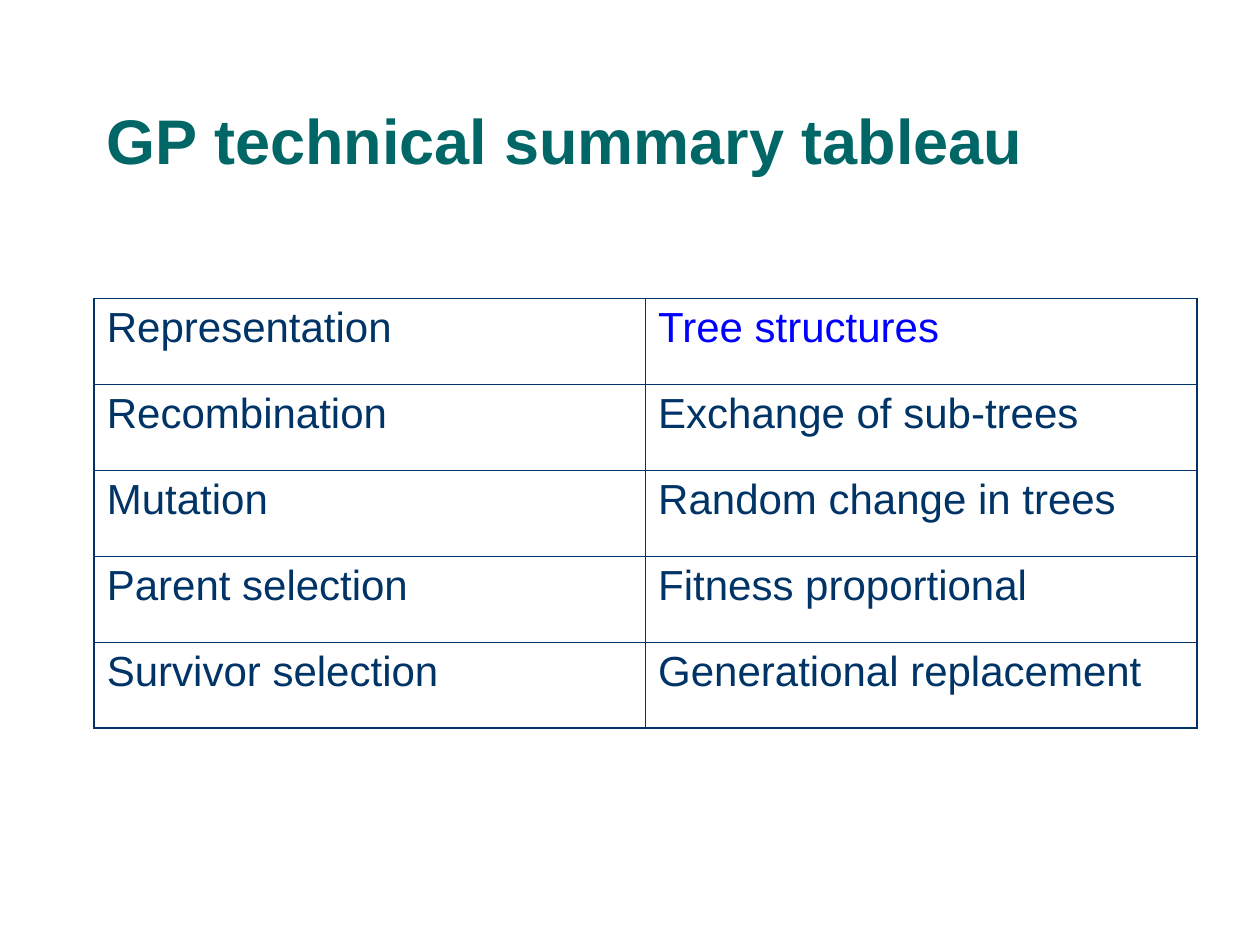
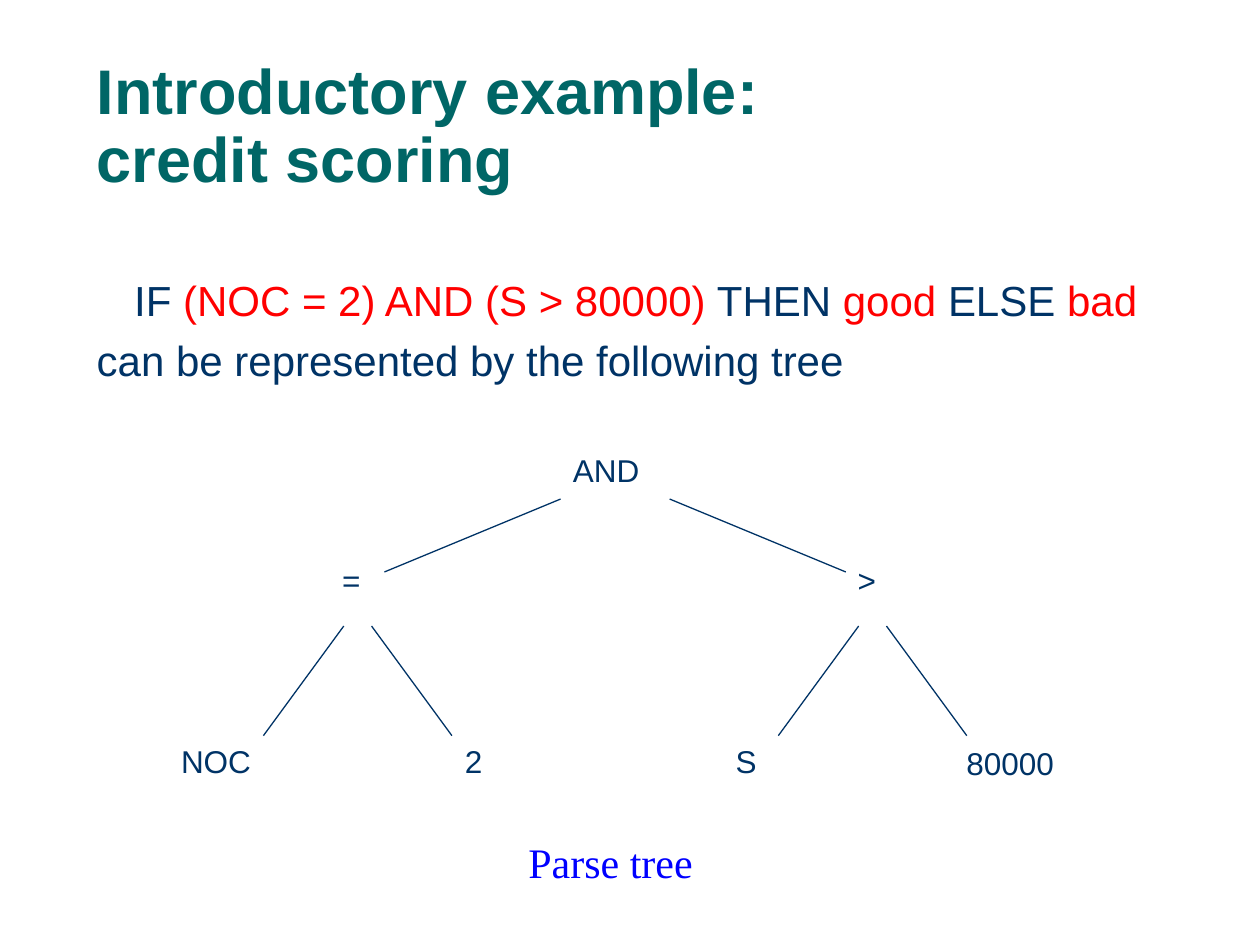
from pptx import Presentation
from pptx.dml.color import RGBColor
from pptx.enum.shapes import MSO_CONNECTOR
from pptx.enum.text import MSO_ANCHOR, MSO_AUTO_SIZE, PP_ALIGN
from pptx.oxml.ns import qn
from pptx.util import Cm, Pt
from lxml.etree import SubElement

TEAL = RGBColor(0x00, 0x66, 0x66)
NAVY = RGBColor(0x00, 0x33, 0x66)
BLUE = RGBColor(0x00, 0x00, 0xFF)
RED = RGBColor(0xFF, 0x00, 0x00)
SANS = "Arial"
SERIF = "Times New Roman"
CONTENT_WIDTH = 22.23
OUTER_LINE, INNER_LINE = 1.08, 0.45


class Deck:
    def __init__(self):
        self.prs = Presentation()
        self.prs.slide_width = Cm(25.4)
        self.prs.slide_height = Cm(19.05)
        self.slide = None

    def style(self, paragraph, size, color=NAVY, face=SANS, bold=False):
        font = paragraph.font
        font.name = face
        font.size = Pt(size)
        font.bold = bold
        if color is not None:
            font.color.rgb = color

    def add_slide(self, heading, left, top):
        self.slide = self.prs.slides.add_slide(self.prs.slide_layouts[5])
        title = self.slide.shapes.title
        title.left, title.top = Cm(left), Cm(top)
        title.width, title.height = Cm(CONTENT_WIDTH), Cm(3.18)
        frame = title.text_frame
        frame.text = heading
        frame.auto_size = MSO_AUTO_SIZE.NONE
        frame.vertical_anchor = MSO_ANCHOR.BOTTOM
        paragraph = frame.paragraphs[0]
        paragraph.alignment = PP_ALIGN.LEFT
        paragraph.line_spacing = 0.9
        self.style(paragraph, 36, TEAL, bold=True)

    def frame(self, left, top, width, height):
        box = self.slide.shapes.add_textbox(Cm(left), Cm(top), Cm(width), Cm(height))
        box.text_frame.word_wrap = True
        return box.text_frame

    def label(self, text, left, top, width, height=1.02, size=18,
              color=NAVY, face=SANS, align=PP_ALIGN.LEFT):
        paragraph = self.frame(left, top, width, height).paragraphs[0]
        paragraph.text = text
        paragraph.alignment = align
        self.style(paragraph, size, color, face)

    def rule_text(self, parts, explanation, left, top, height):
        frame = self.frame(left, top, CONTENT_WIDTH, height)
        rule = frame.paragraphs[0]
        rule.alignment = PP_ALIGN.CENTER
        self.style(rule, 24, color=None)
        for text, color in parts:
            run = rule.add_run()
            run.text = text
            run.font.color.rgb = color
        closing = frame.add_paragraph()
        closing.text = explanation
        closing.space_before = Pt(6)
        self.style(closing, 24)

    def branches(self, axis, top, bottom, inner, outer):
        for side in (-1, 1):
            branch = self.slide.shapes.add_connector(
                MSO_CONNECTOR.STRAIGHT, Cm(axis + side * inner), Cm(top),
                Cm(axis + side * outer), Cm(bottom))
            branch.line.color.rgb = NAVY
            branch.line.width = Pt(0.75)
            SubElement(branch._element.spPr, qn("a:effectLst"))

    def borders(self, cell, widths):
        properties = cell._tc.get_or_add_tcPr()
        for edge, width in widths.items():
            line = SubElement(properties, qn(f"a:{edge}"), w=str(Pt(width)))
            fill = SubElement(line, qn("a:solidFill"))
            SubElement(fill, qn("a:srgbClr"), val=str(NAVY))

    def table(self, rows, left, top, row_height, highlights):
        last_row, last_col = len(rows) - 1, len(rows[0]) - 1
        table = self.slide.shapes.add_table(
            len(rows), len(rows[0]), Cm(left), Cm(top),
            Cm(CONTENT_WIDTH), Cm(row_height * len(rows))).table
        table.first_row = table.horz_banding = False
        for r, row in enumerate(rows):
            table.rows[r].height = Cm(row_height)
            for c, text in enumerate(row):
                cell = table.cell(r, c)
                cell.text = text
                self.style(cell.text_frame.paragraphs[0], 24, highlights.get(text, NAVY))
                on_edge = {"lnL": c == 0, "lnR": c == last_col,
                           "lnT": r == 0, "lnB": r == last_row}
                self.borders(cell, {edge: OUTER_LINE if outer else INNER_LINE
                                    for edge, outer in on_edge.items()})
                cell.fill.background()


def summary_slide(deck):
    deck.add_slide("GP technical summary tableau", 1.9, 0.53)
    deck.table([
        ("Representation", "Tree structures"),
        ("Recombination", "Exchange of sub-trees"),
        ("Mutation", "Random change in trees"),
        ("Parent selection", "Fitness proportional"),
        ("Survivor selection", "Generational replacement"),
    ], 1.9, 6.02, 1.73, {"Tree structures": BLUE})


def credit_scoring_slide(deck):
    deck.add_slide("Introductory example:\vcredit scoring", 1.7, 0.91)
    deck.rule_text([
        ("IF ", NAVY), ("(NOC = 2) AND (S > 80000)", RED), (" THEN ", NAVY),
        ("good", RED), (" ELSE ", NAVY), ("bad", RED),
    ], "can be represented by the following tree", 1.7, 5.4, 10.36)

    operator_top, leaf_top = 11.18, 14.83
    for text, left, top, width in (
        ("AND", 11.3, 8.97, 3.28),
        ("=", 6.65, operator_top, 1.37),
        (">", 17.04, operator_top, 1.37),
        ("NOC", 3.4, leaf_top, 3.28),
        ("2", 9.12, leaf_top, 1.37),
        ("S", 14.58, leaf_top, 1.37),
        ("80000", 19.23, leaf_top + 0.05, 3),
    ):
        deck.label(text, left, top, width)

    deck.branches(12.4, 10.06, 11.53, 1.1, 4.65)
    for operator_axis in (7.21, 17.59):
        deck.branches(operator_axis, 12.62, leaf_top, 0.28, 1.9)
    deck.label("Parse tree", 6.71, 16.74, 11.2, 1.27, 24, BLUE, SERIF, PP_ALIGN.CENTER)


def main():
    deck = Deck()
    summary_slide(deck)
    credit_scoring_slide(deck)
    deck.prs.save("out.pptx")


if __name__ == "__main__":
    main()
